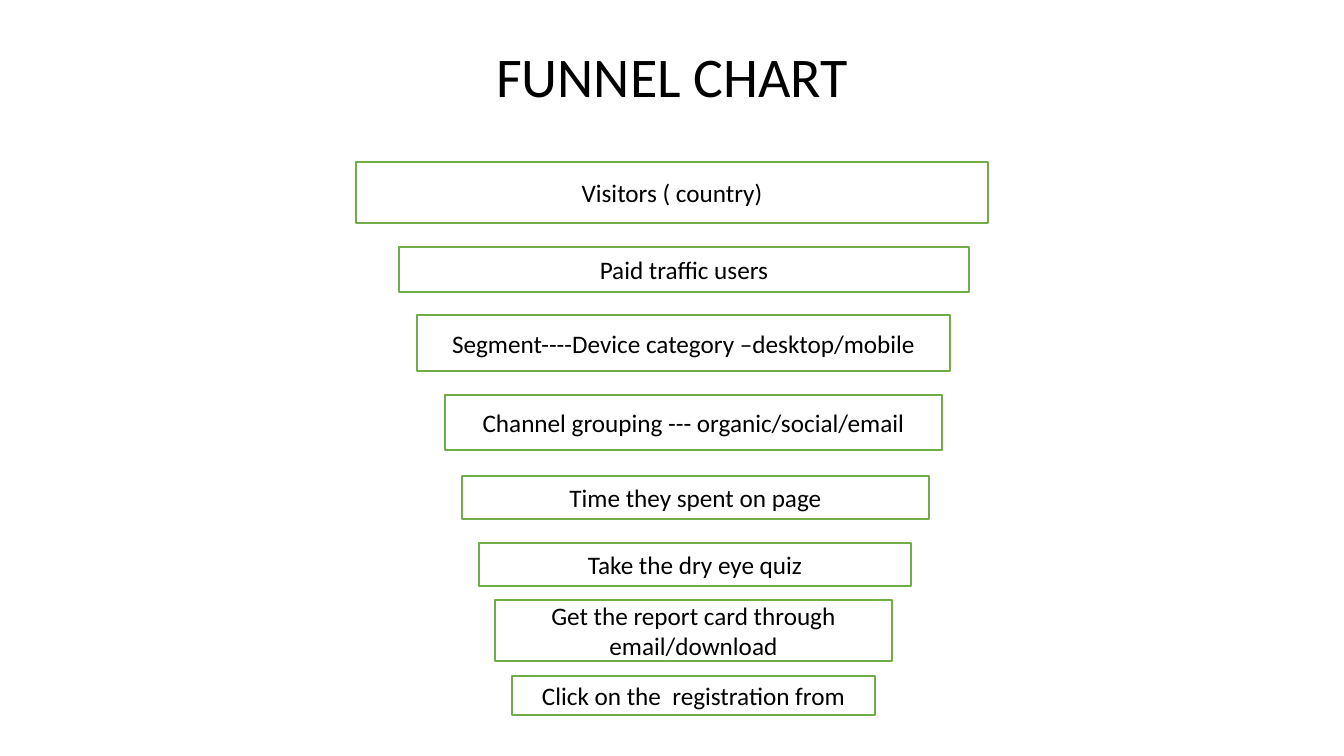
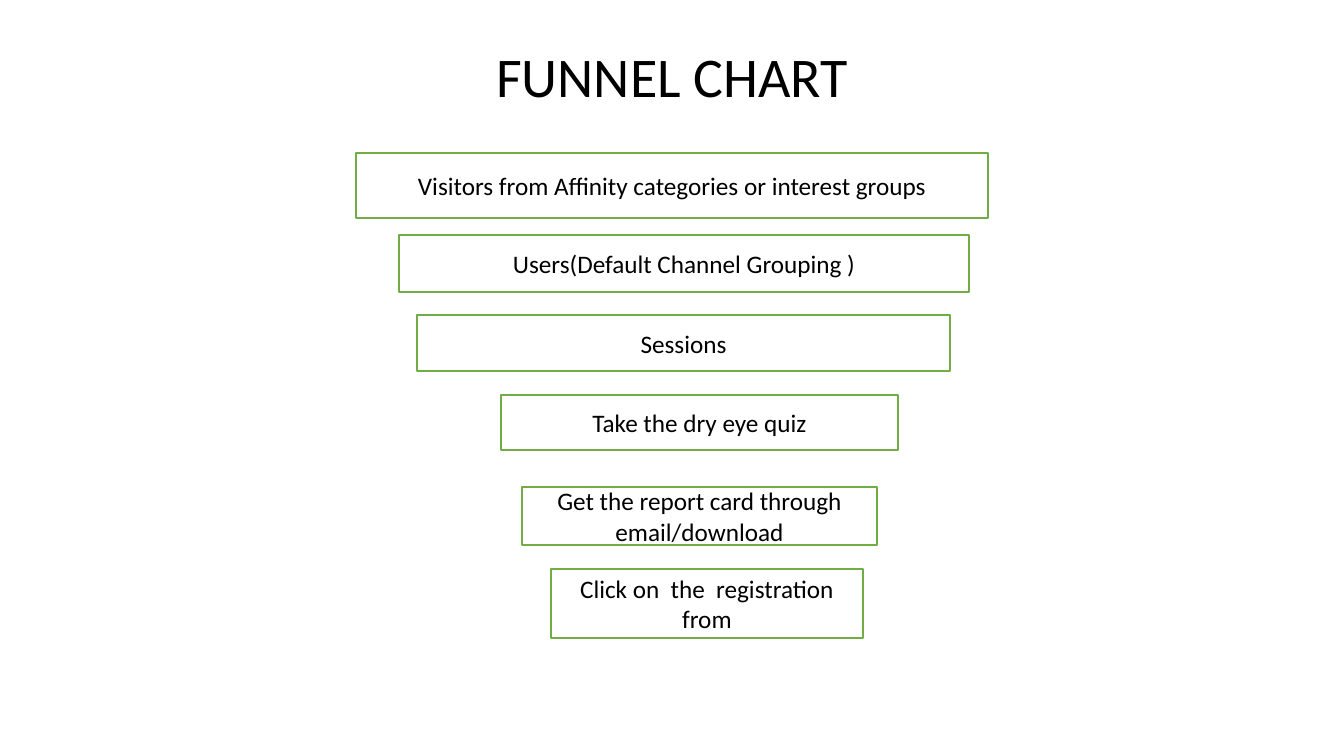
import pptx
import pptx.util
import pptx.dml.color
import pptx.enum.shapes
import pptx.enum.text

PX = 914400 / 100.8
FONT = "Calibri"
COLORS = {"text": "000000", "fill": "FFFFFF", "border": "70AD47"}
TITLE = "FUNNEL CHART"

# Each stage: text, left, top, width, height in px
FUNNELS = [
    [
        ("Visitors ( country)", 356, 162, 632, 61),
        ("Paid traffic users", 399, 247, 570, 45),
        ("Segment----Device category –desktop/mobile", 417, 315, 533, 56),
        ("Channel grouping --- organic/social/email", 445, 395, 497, 55),
        ("Time they spent on page", 462, 476, 467, 43),
        ("Take the dry eye quiz", 479, 543, 432, 43),
        ("Get the report card through email/download", 495, 600, 397, 61),
        ("Click on the  registration from", 512, 676, 363, 39),
    ],
    [
        ("Visitors from Affinity categories or interest groups", 356, 153, 632, 65),
        ("Users(Default Channel Grouping )", 399, 235, 570, 57),
        ("Sessions", 417, 315, 533, 56),
        ("Take the dry eye quiz", 501, 395, 397, 55),
        ("Get the report card through email/download", 522, 487, 355, 58),
        ("Click on  the  registration from", 551, 569, 312, 69),
    ],
]


def emu(*lengths):
    return [pptx.util.Emu(round(length * PX)) for length in lengths]


def write_centred(shape, text, size, anchor):
    frame = shape.text_frame
    frame.word_wrap = True
    frame.vertical_anchor = anchor
    frame.text = text
    paragraph = frame.paragraphs[0]
    paragraph.alignment = pptx.enum.text.PP_ALIGN.CENTER
    font = paragraph.runs[0].font
    font.name = FONT
    font.size = pptx.util.Pt(size)
    font.color.rgb = pptx.dml.color.RGBColor.from_string(COLORS["text"])


deck = pptx.Presentation()
deck.slide_width, deck.slide_height = emu(1344, 756)
blank_layout = deck.slide_layouts[6]

for stages in FUNNELS:
    slide = deck.slides.add_slide(blank_layout)

    heading = slide.shapes.add_textbox(*emu(168, 41, 1008, 74))
    write_centred(heading, TITLE, 40, pptx.enum.text.MSO_ANCHOR.BOTTOM)
    heading.text_frame.paragraphs[0].line_spacing = 0.9

    for text, *bounds in stages:
        stage = slide.shapes.add_shape(
            pptx.enum.shapes.MSO_SHAPE.RECTANGLE, *emu(*bounds))
        stage.shadow.inherit = False
        stage.fill.solid()
        stage.fill.fore_color.rgb = pptx.dml.color.RGBColor.from_string(COLORS["fill"])
        stage.line.color.rgb = pptx.dml.color.RGBColor.from_string(COLORS["border"])
        stage.line.width = pptx.util.Pt(1)
        write_centred(stage, text, 18, pptx.enum.text.MSO_ANCHOR.MIDDLE)

deck.save("out.pptx")
